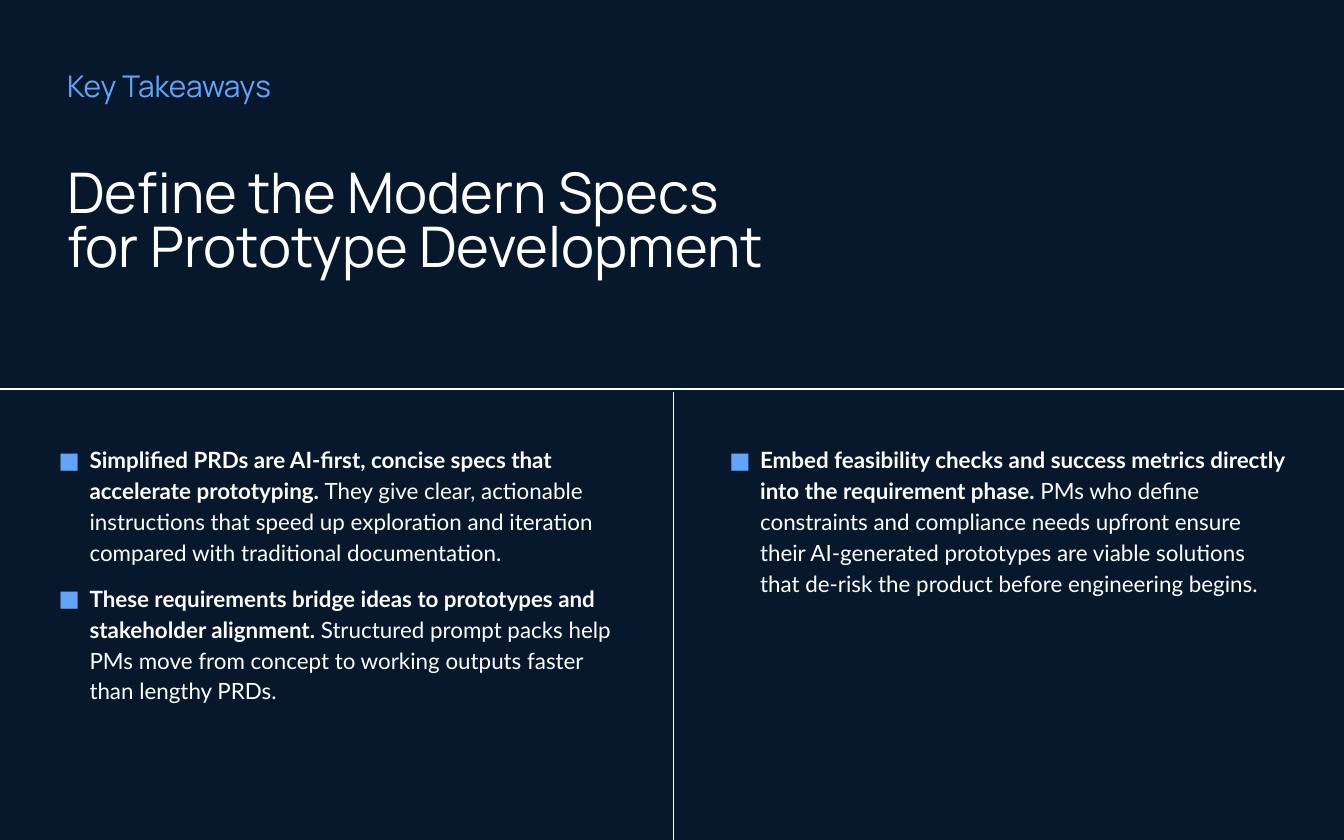
from dataclasses import dataclass

from lxml.etree import SubElement
from pptx import Presentation
from pptx.dml.color import RGBColor as RGB
from pptx.enum.shapes import MSO_CONNECTOR as CONNECTOR
from pptx.enum.text import MSO_ANCHOR as ANCHOR, MSO_AUTO_SIZE as AUTO_SIZE, PP_ALIGN as ALIGN
from pptx.oxml.ns import qn
from pptx.util import Pt


@dataclass(frozen=True)
class Theme:
    background: str = "07182C"
    text: str = "FFFFFF"
    accent: str = "60A5FA"
    heading_font: str = "Manrope"
    body_font: str = "Lato"
    label_size: int = 16
    title_size: int = 30
    body_size: int = 12
    rule_width: float = 0.75


THEME = Theme()
WIDTH, HEIGHT = 960, 600
RULE_Y, DIVIDER_X = 278, 481
COLUMN_WIDTH = WIDTH - DIVIDER_X
PADDING = 38

LEFT_POINTS = [
    ("Simplified PRDs are AI-first, concise specs that accelerate prototyping. ",
     "They give clear, actionable instructions that speed up exploration and "
     "iteration compared with traditional documentation."),
    ("These requirements bridge ideas to prototypes and stakeholder alignment. ",
     "Structured prompt packs help PMs move from concept to working outputs "
     "faster than lengthy PRDs."),
]
RIGHT_POINTS = [
    ("Embed feasibility checks and success metrics directly into the requirement phase. ",
     "PMs who define constraints and compliance needs upfront ensure their "
     "AI-generated prototypes are viable solutions that de-risk the product "
     "before engineering begins."),
]


def px(n):
    return n * 9525


def place(sp, x, y, w, h):
    sp.left, sp.top, sp.width, sp.height = px(x), px(y), px(w), px(h)


def setup_frame(sp, inset, anchor):
    tf = sp.text_frame
    tf.word_wrap = True
    tf.auto_size = AUTO_SIZE.NONE
    tf.vertical_anchor = anchor
    tf.margin_left = tf.margin_top = tf.margin_right = tf.margin_bottom = px(inset)
    return tf


def add_run(p, text, font, size, color, bold=False):
    r = p.add_run()
    r.text = text
    r.font.name = font
    r.font.size = Pt(size)
    r.font.bold = bold
    r.font.color.rgb = RGB.from_string(color)


def add_bullet(p):
    pPr = p._p.get_or_add_pPr()
    pPr.set("marL", str(px(24)))
    pPr.set("indent", str(px(-22)))
    color = SubElement(pPr, qn("a:buClr"))
    SubElement(color, qn("a:srgbClr"), val=THEME.accent)
    SubElement(pPr, qn("a:buFont"), typeface=THEME.body_font)
    SubElement(pPr, qn("a:buChar"), char="■")


def add_rule(slide, x1, y1, x2, y2):
    line = slide.shapes.add_connector(CONNECTOR.STRAIGHT, px(x1), px(y1), px(x2), px(y2))
    line.line.color.rgb = RGB.from_string(THEME.text)
    line.line.width = Pt(THEME.rule_width)
    SubElement(line._element.spPr, qn("a:effectLst"))


def add_header(slide, x, y, w):
    label = slide.shapes.add_textbox(0, 0, 0, 0)
    place(label, x, y, 384, 26)
    p = setup_frame(label, 0, ANCHOR.MIDDLE).paragraphs[0]
    add_run(p, "Key Takeaways", THEME.heading_font, THEME.label_size, THEME.accent)

    title = slide.shapes.title
    place(title, x, y + 73, w, 78)
    p = setup_frame(title, 0, ANCHOR.MIDDLE).paragraphs[0]
    p.alignment = ALIGN.LEFT
    p.line_spacing = 0.8
    style = (THEME.heading_font, THEME.title_size, THEME.text)
    add_run(p, "Define the Modern Specs", *style)
    p.add_line_break()
    add_run(p, "for Prototype Development", *style)


def add_column(slide, x, y, w, h, points):
    box = slide.shapes.add_textbox(0, 0, 0, 0)
    place(box, x, y, w, h)
    tf = setup_frame(box, PADDING, ANCHOR.TOP)
    style = (THEME.body_font, THEME.body_size, THEME.text)
    for i, (lead, detail) in enumerate(points):
        p = tf.add_paragraph() if i else tf.paragraphs[0]
        add_bullet(p)
        p.line_spacing = 1.15
        if i:
            p.space_before = Pt(8)
        add_run(p, lead, *style, bold=True)
        add_run(p, detail, *style)


def main():
    prs = Presentation()
    prs.slide_width, prs.slide_height = px(WIDTH), px(HEIGHT)
    slide = prs.slides.add_slide(prs.slide_layouts.get_by_name("Title Only"))
    fill = slide.background.fill
    fill.solid()
    fill.fore_color.rgb = RGB.from_string(THEME.background)

    add_header(slide, 48, 48, 866)
    add_rule(slide, 0, RULE_Y, WIDTH, RULE_Y)
    add_rule(slide, DIVIDER_X, RULE_Y + 2, DIVIDER_X, HEIGHT)
    add_column(slide, 2, RULE_Y, COLUMN_WIDTH, 297, LEFT_POINTS)
    add_column(slide, DIVIDER_X, RULE_Y, COLUMN_WIDTH, 186, RIGHT_POINTS)
    prs.save("out.pptx")


if __name__ == "__main__":
    main()
